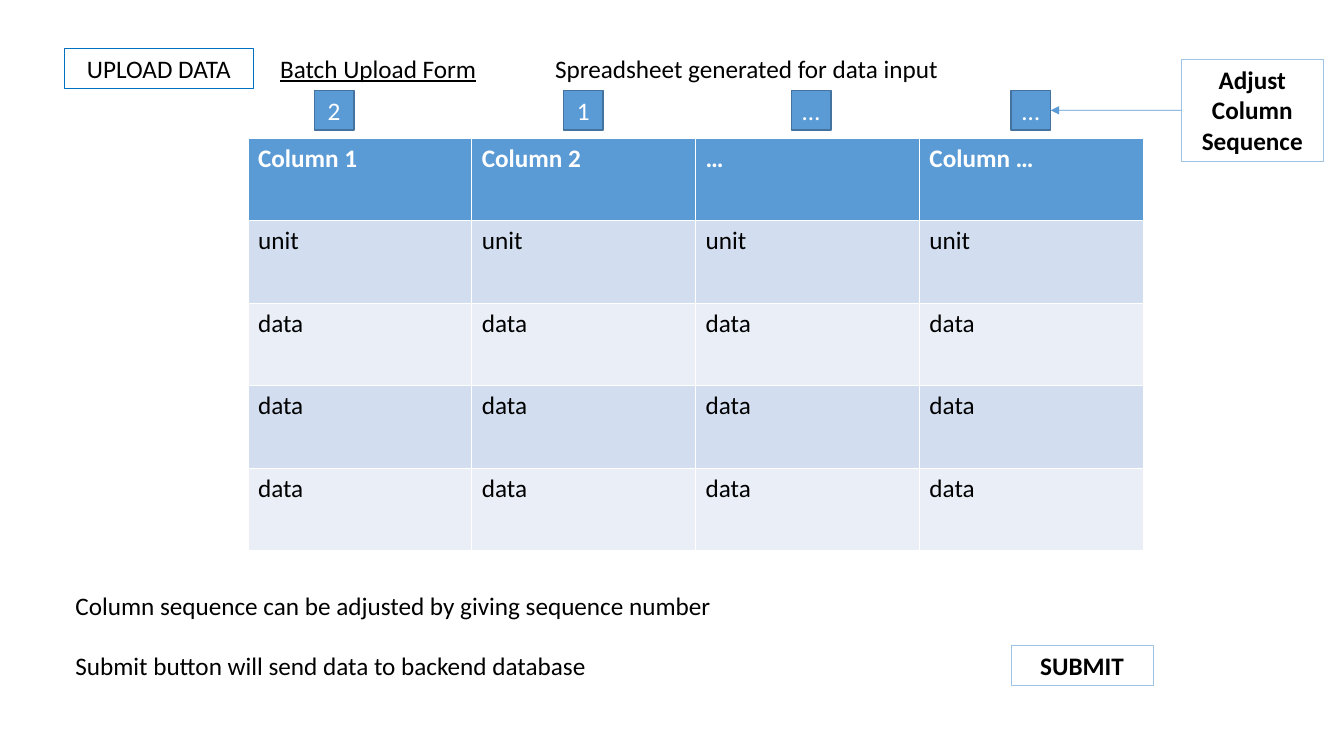
"""Build the batch upload form slide with its spreadsheet table and sequence boxes."""
from dataclasses import dataclass

from lxml import etree
from pptx import Presentation
from pptx.dml.color import RGBColor
from pptx.enum.shapes import MSO_CONNECTOR, MSO_SHAPE
from pptx.enum.text import MSO_ANCHOR, PP_ALIGN
from pptx.oxml.ns import qn
from pptx.shapes.autoshape import Shape
from pptx.slide import Slide
from pptx.util import Cm, Pt

RECTANGLE = MSO_SHAPE.RECTANGLE
STRAIGHT = MSO_CONNECTOR.STRAIGHT
LEFT, CENTER = PP_ALIGN.LEFT, PP_ALIGN.CENTER
TOP, MIDDLE = MSO_ANCHOR.TOP, MSO_ANCHOR.MIDDLE
LEFT_SIDE, RIGHT_SIDE = 1, 3

COLORS = {
    "text": "000000",
    "white": "FFFFFF",
    "accent": "5B9BD5",
    "marker_edge": "43739E",
    "upload_edge": "0070C0",
    "button_edge": "9DC3E6",
    "band_dark": "D2DEEF",
    "band_light": "EAEFF7",
}
FONT = {"name": "Calibri", "size": Pt(18)}
ROW_LABELS = ("unit", "data", "data", "data")
HEADERS = ("Column 1", "Column 2", "…", "Column …")
COLUMN_WIDTH, ROW_HEIGHT = 5.64, 2.08
LINE_HEIGHT = 1.02
MARKER_TOP, MARKER_SIZE = 2.28, 1.0
MARKERS = (("2", 7.92), ("1", 14.2), ("…", 19.94), ("…", 25.48))


@dataclass(frozen=True)
class Label:
    """A text with its place, in centimetres, and an optional frame."""

    text: str
    left: float
    top: float
    width: float
    height: float = LINE_HEIGHT
    edge: str = ""
    fill: str = ""
    color: str = "text"
    edge_width: float = 0.75
    bold: bool = False
    underline: bool = False
    align: PP_ALIGN = LEFT
    anchor: MSO_ANCHOR = TOP


UPLOAD_TITLE = Label("UPLOAD DATA", 1.63, 1.22, 4.75, edge="upload_edge", align=CENTER)
SUBMIT_BUTTON = Label("SUBMIT", 25.48, 16.26, 3.58, edge="button_edge", bold=True, align=CENTER)
ADJUST_CALLOUT = Label("Adjust\nColumn\nSequence", 29.77, 1.5, 3.58, 2.56,
                       edge="button_edge", bold=True, align=CENTER)
CAPTIONS = (
    Label("Batch Upload Form", 6.81, 1.22, 6.5, underline=True),
    Label("Spreadsheet generated for data input", 13.74, 1.22, 10.29),
    Label("Column sequence can be adjusted by giving sequence number", 1.65, 14.76, 16.74),
    Label("Submit button will send data to backend database", 1.65, 16.26, 13.54),
)


def rgb(key: str) -> RGBColor:
    """Return the named colour."""
    return RGBColor.from_string(COLORS[key])


def format_text(frame, color: str, align: PP_ALIGN = LEFT, **extra: bool) -> None:
    """Apply the slide font, colour and alignment to all runs."""
    for paragraph in frame.paragraphs:
        paragraph.alignment = align
        for run in paragraph.runs:
            for attribute, value in {**FONT, **extra}.items():
                setattr(run.font, attribute, value)
            run.font.color.rgb = rgb(color)


def draw_label(slide: Slide, label: Label) -> Shape:
    """Draw a framed rectangle, or a plain text box when there is no edge."""
    place = [Cm(value) for value in (label.left, label.top, label.width, label.height)]
    if label.edge:
        box = slide.shapes.add_shape(RECTANGLE, *place)
        box.shadow.inherit = False
        box.line.color.rgb = rgb(label.edge)
        box.line.width = Pt(label.edge_width)
        if label.fill:
            box.fill.solid()
            box.fill.fore_color.rgb = rgb(label.fill)
        else:
            box.fill.background()
    else:
        box = slide.shapes.add_textbox(*place)
    frame = box.text_frame
    frame.text = label.text
    frame.word_wrap = bool(label.edge)
    frame.vertical_anchor = label.anchor
    format_text(frame, label.color, label.align, bold=label.bold, underline=label.underline)
    return box


def draw_spreadsheet(slide: Slide) -> None:
    """Draw the banded table of columns, units and data."""
    rows = [HEADERS] + [(label,) * len(HEADERS) for label in ROW_LABELS]
    table = slide.shapes.add_table(
        len(rows), len(HEADERS), Cm(6.25), Cm(3.48),
        Cm(COLUMN_WIDTH * len(HEADERS)), Cm(ROW_HEIGHT * len(rows)),
    ).table
    for row_index, texts in enumerate(rows):
        is_header = row_index == 0
        band = "accent" if is_header else ("band_light", "band_dark")[row_index % 2]
        for column_index, text in enumerate(texts):
            cell = table.cell(row_index, column_index)
            cell.text = text
            cell.fill.solid()
            cell.fill.fore_color.rgb = rgb(band)
            format_text(cell.text_frame, "white" if is_header else "text", bold=is_header)


def draw_arrow(slide: Slide, source: Shape, target: Shape) -> None:
    """Join the left side of the source to the right side of the target."""
    arrow = slide.shapes.add_connector(STRAIGHT, 0, 0, 0, 0)
    arrow.begin_connect(source, LEFT_SIDE)
    arrow.end_connect(target, RIGHT_SIDE)
    arrow.line.color.rgb = rgb("accent")
    arrow.line.width = Pt(0.5)
    etree.SubElement(arrow.line._get_or_add_ln(), qn("a:tailEnd"), type="triangle")
    etree.SubElement(arrow._element.spPr, qn("a:effectLst"))


def main() -> None:
    """Assemble and save the slide."""
    presentation = Presentation()
    presentation.slide_width, presentation.slide_height = Cm(33.87), Cm(19.05)
    slide = presentation.slides.add_slide(presentation.slide_layouts[6])
    draw_spreadsheet(slide)
    for label in (UPLOAD_TITLE, *CAPTIONS, SUBMIT_BUTTON):
        draw_label(slide, label)
    callout = draw_label(slide, ADJUST_CALLOUT)
    markers = [
        draw_label(slide, Label(
            number, left, MARKER_TOP, MARKER_SIZE, MARKER_SIZE, edge="marker_edge",
            fill="accent", color="white", edge_width=1, align=CENTER, anchor=MIDDLE,
        ))
        for number, left in MARKERS
    ]
    draw_arrow(slide, callout, markers[-1])
    presentation.save("out.pptx")


if __name__ == "__main__":
    main()
